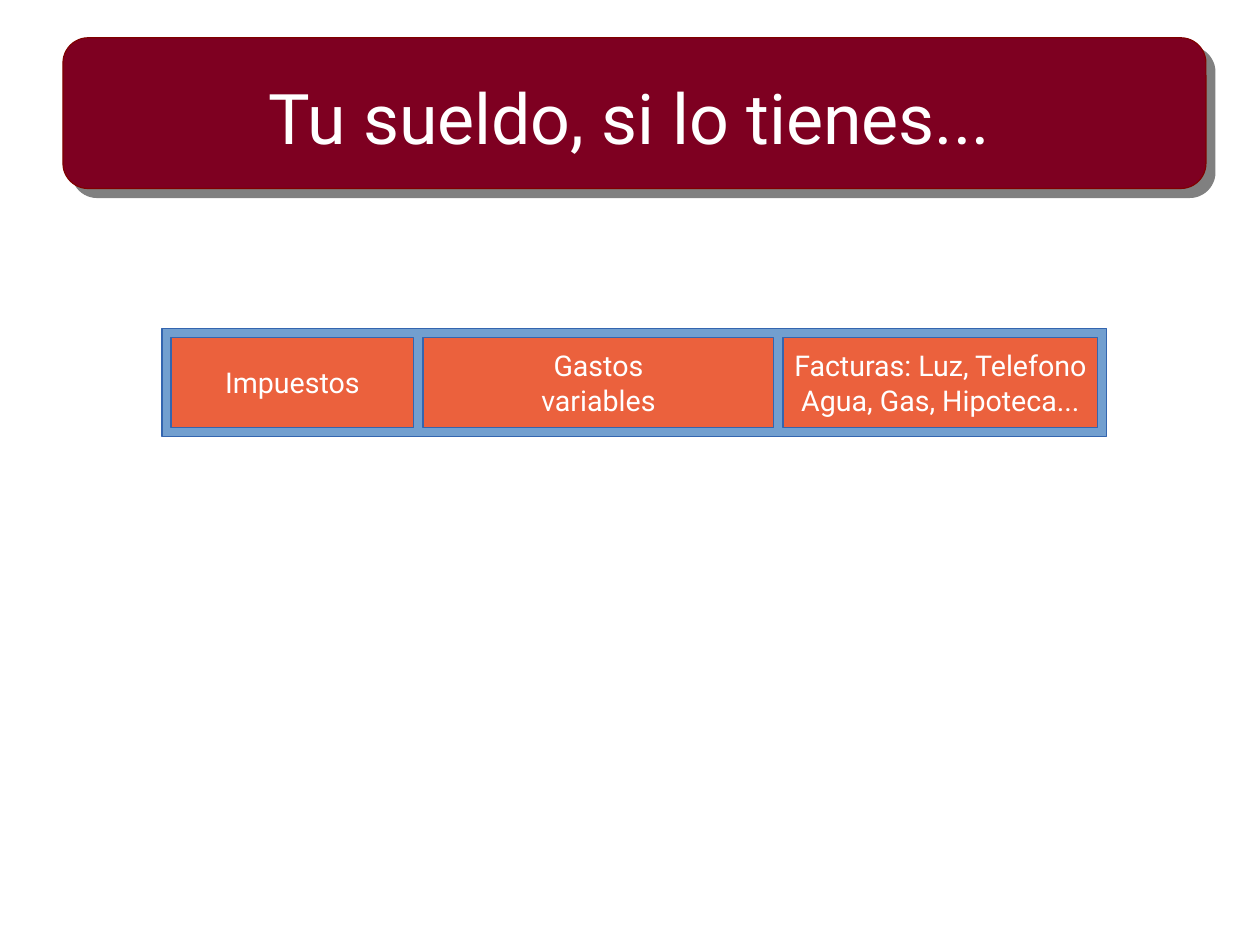
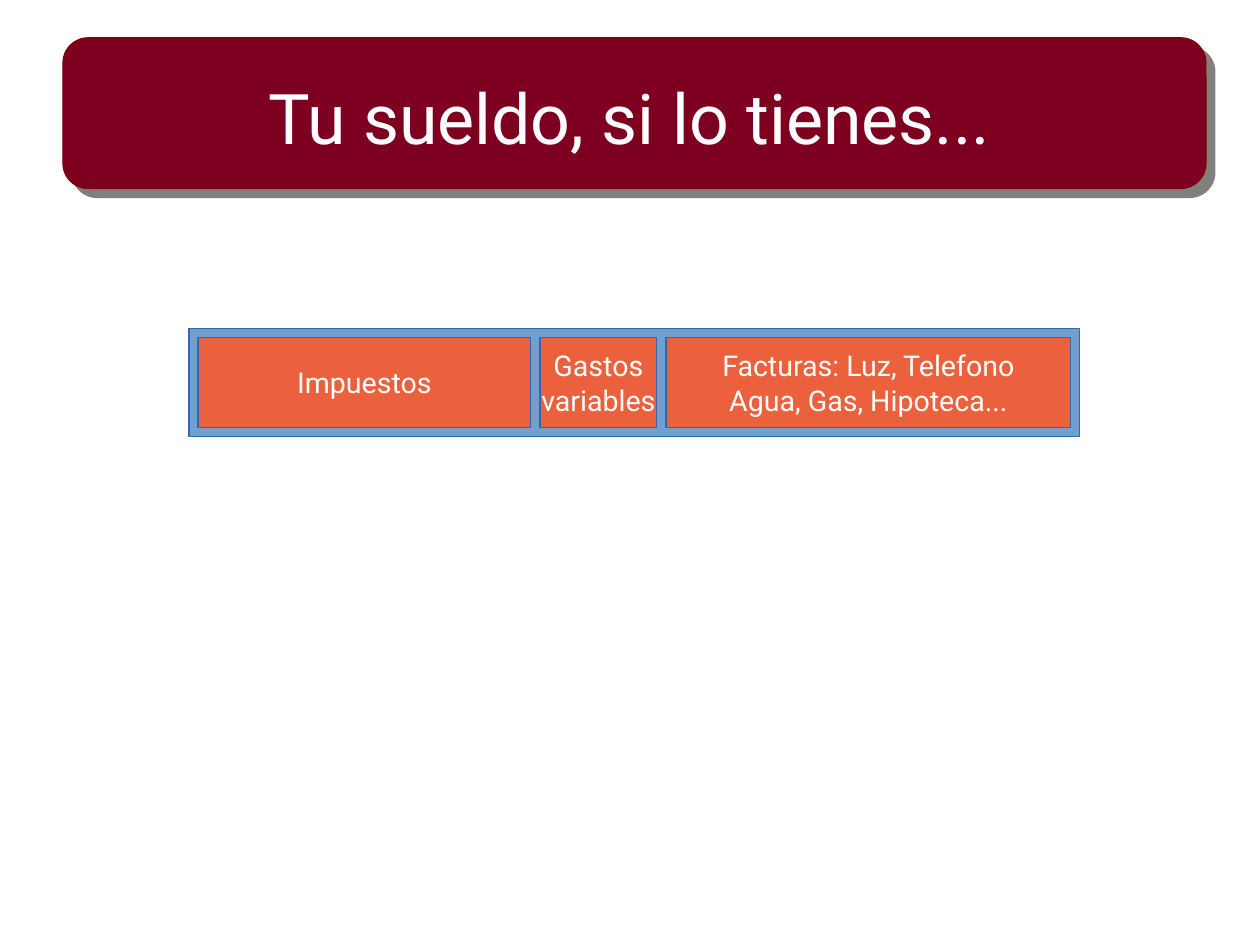
from lxml import etree
from pptx import Presentation
from pptx.dml.color import RGBColor
from pptx.enum.shapes import MSO_SHAPE
from pptx.enum.text import MSO_ANCHOR, PP_ALIGN
from pptx.oxml.ns import qn
from pptx.util import Inches, Pt

# Content: each slide gives the width of its expense boxes, left to right
TITLE = "Tu sueldo, si lo tienes..."
EXPENSES = [
    "Impuestos",
    "Gastos\nvariables",
    "Facturas: Luz, Telefono\nAgua, Gas, Hipoteca...",
]
SLIDE_WIDTHS = [(5.4, 7.8, 7), (7.4, 2.6, 9)]

# Shared style; the page grid is metric, all lengths are in centimetres
CM_PER_INCH = 2.54
PAGE = (28, 21)
BAND = (1.4, 0.84, 25.4, 3.35)
TITLE_BOX = (1.4, 0.84, 25.2, 3.5)
BAR_TOP, BOX_HEIGHT, GAP = 7.3, 2, 0.2
FONT = "Roboto"
COLORS = {
    "band": "7E0021",
    "band_line": "800000",
    "shadow": "808080",
    "salary": "729FCF",
    "expense": "EB613D",
    "box_line": "3465AF",
    "text": "FFFFFF",
}


def lengths(values):
    return [Inches(round(v, 2) / CM_PER_INCH) for v in values]


def rgb(name):
    return RGBColor.from_string(COLORS[name])


def add_box(s, kind, box, fill, line):
    sp = s.shapes.add_shape(kind, *lengths(box))
    sp.shadow.inherit = False
    sp.fill.solid()
    sp.fill.fore_color.rgb = rgb(fill)
    sp.line.color.rgb = rgb(line)
    sp.line.width = Pt(0)
    return sp


def set_text(sp, text, size):
    tf = sp.text_frame
    tf.text = text
    tf.vertical_anchor = MSO_ANCHOR.MIDDLE
    for p in tf.paragraphs:
        p.alignment = PP_ALIGN.CENTER
        for r in p.runs:
            r.font.name = FONT
            r.font.size = Pt(size)
            r.font.color.rgb = rgb("text")
    return tf


def add_shadow(sp):
    effects = sp._element.spPr.find(qn("a:effectLst"))
    shadow = etree.SubElement(effects, qn("a:outerShdw"), blurRad="0",
                              dist=str(Pt(8)), dir=str(45 * 60000),
                              algn="tl", rotWithShape="0")
    etree.SubElement(shadow, qn("a:srgbClr"), val=COLORS["shadow"])


def add_title(s):
    band = add_box(s, MSO_SHAPE.ROUNDED_RECTANGLE, BAND, "band", "band_line")
    band.adjustments[0] = 0.167
    add_shadow(band)
    tf = set_text(s.shapes.add_textbox(*lengths(TITLE_BOX)), TITLE, 44)
    tf.word_wrap = True
    tf.margin_left = tf.margin_right = tf.margin_top = tf.margin_bottom = 0


def add_salary_bar(s, widths):
    # The bar is centred under the band and wraps the boxes with equal gaps
    bar_width = sum(widths) + GAP * (len(widths) + 1)
    left = BAND[0] + (BAND[2] - bar_width) / 2
    add_box(s, MSO_SHAPE.RECTANGLE,
            (left, BAR_TOP, bar_width, BOX_HEIGHT + 2 * GAP),
            "salary", "box_line")
    left += GAP
    for text, width in zip(EXPENSES, widths):
        sp = add_box(s, MSO_SHAPE.RECTANGLE,
                     (left, BAR_TOP + GAP, width, BOX_HEIGHT),
                     "expense", "box_line")
        set_text(sp, text, 18).word_wrap = False
        left += width + GAP


def main():
    prs = Presentation()
    prs.slide_width, prs.slide_height = lengths(PAGE)
    for widths in SLIDE_WIDTHS:
        s = prs.slides.add_slide(prs.slide_layouts[6])
        add_title(s)
        add_salary_bar(s, widths)
    prs.save("out.pptx")


if __name__ == "__main__":
    main()
